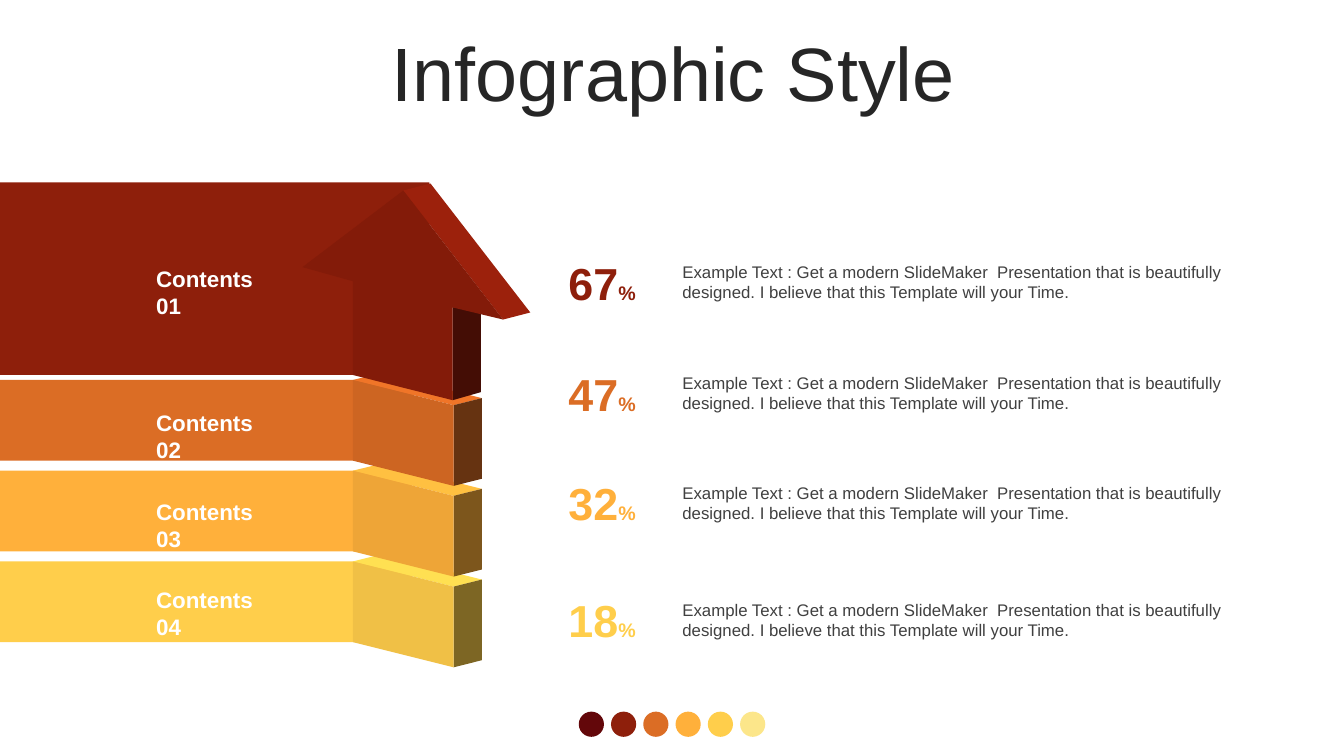
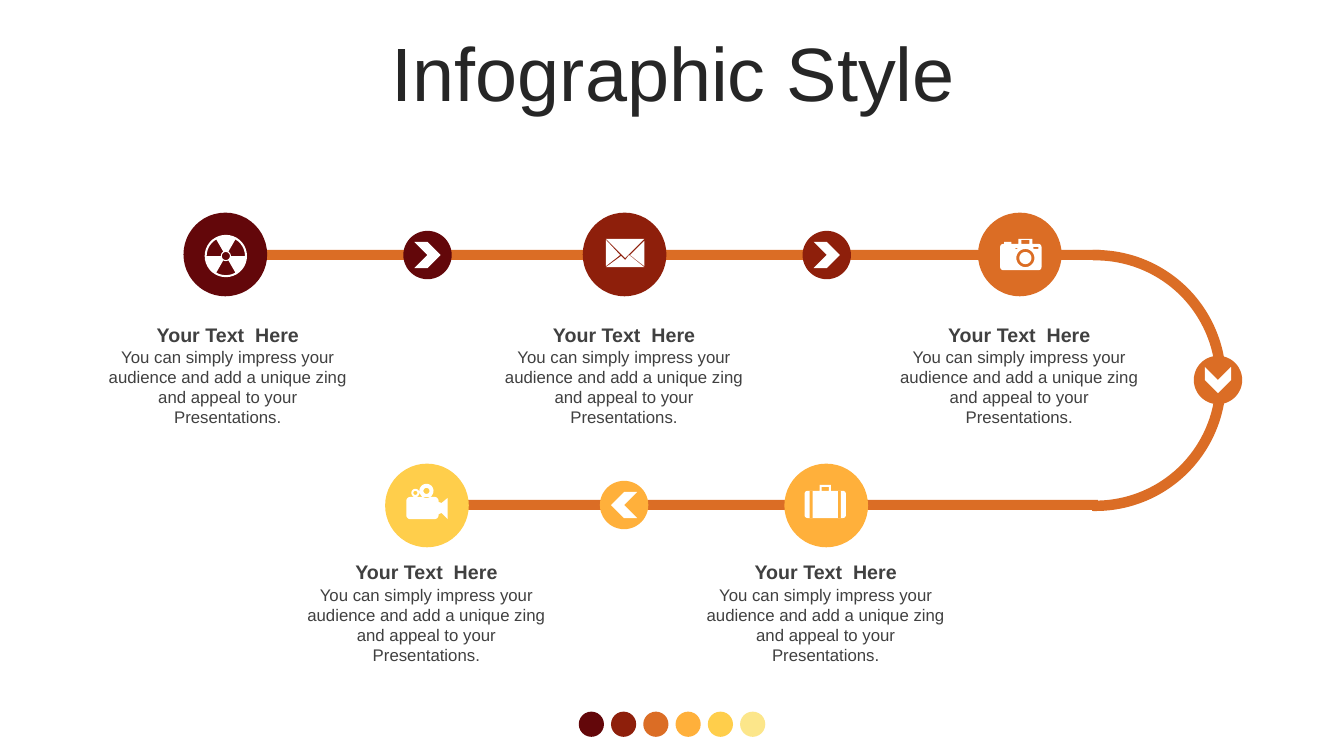
import math

import pptx
import pptx.dml.color
import pptx.enum.shapes
import pptx.enum.text
import pptx.util

Inches = pptx.util.Inches
SHAPE = pptx.enum.shapes.MSO_SHAPE
ALIGN = pptx.enum.text.PP_ALIGN
ANCHOR = pptx.enum.text.MSO_ANCHOR

MAROON, RED, ORANGE = "63070A", "8E1F0B", "DB6D25"
AMBER, YELLOW, CREAM = "FFB03B", "FFCE4B", "FCE68A"
WHITE, TITLE_COLOR, TEXT_COLOR = "FFFFFF", "262626", "404040"

EXAMPLE = ("Example Text : Get a modern SlideMaker  Presentation that is beautifully "
           "designed. I believe that this Template will your Time.")
CAPTION = ("You can simply impress your audience and add a unique zing "
           "and appeal to your Presentations.")


def color(value):
    return pptx.dml.color.RGBColor.from_string(value)


def arc(center_x, center_y, radius, start=0, end=360):
    steps = max(2, round(abs(end - start) / 10))
    angles = [math.radians(start + (end - start) * i / steps) for i in range(steps + 1)]
    return [(center_x + radius * math.cos(a), center_y + radius * math.sin(a)) for a in angles]


def rectangle(left, top, width, height):
    return [(left, top), (left + width, top),
            (left + width, top + height), (left, top + height)]


def rounded(left, top, width, height, radius):
    right, bottom = left + width - radius, top + height - radius
    left, top = left + radius, top + radius
    return (arc(left, top, radius, 180, 270) + arc(right, top, radius, 270, 360)
            + arc(right, bottom, radius, 0, 90) + arc(left, bottom, radius, 90, 180))


class Painter:
    font = "Arial"

    def __init__(self):
        self.deck = pptx.Presentation()
        self.deck.slide_width = Inches(13.33)
        self.deck.slide_height = Inches(7.5)
        self.page = None

    def start_page(self, title):
        self.page = self.deck.slides.add_slide(self.deck.slide_layouts[6])
        for i, fill in enumerate([MAROON, RED, ORANGE, AMBER, YELLOW, CREAM]):
            self.shape(SHAPE.OVAL, 5.74 + 0.32 * i, 7.06, 0.25, 0.25, fill)
        box = self.text(0.35, 0.37, 12.66, 0.79, [(title, 54)], TITLE_COLOR,
                        align=ALIGN.CENTER, anchor=ANCHOR.MIDDLE)
        box.text_frame.paragraphs[0].line_spacing = 0.9

    def paint(self, shape, fill):
        shape.shadow.inherit = False
        shape.fill.solid()
        shape.fill.fore_color.rgb = color(fill)
        shape.line.fill.background()
        return shape

    def shape(self, kind, left, top, width, height, fill, rotation=0):
        shape = self.page.shapes.add_shape(
            kind, Inches(left), Inches(top), Inches(width), Inches(height))
        shape.rotation = rotation
        return self.paint(shape, fill)

    def outline(self, contours, fill):
        contours = [[(Inches(x), Inches(y)) for x, y in contour] for contour in contours]
        builder = self.page.shapes.build_freeform(*contours[0][0])
        builder.add_line_segments(contours[0][1:], close=True)
        for contour in contours[1:]:
            builder.move_to(*contour[0])
            builder.add_line_segments(contour[1:], close=True)
        return self.paint(builder.convert_to_shape(), fill)

    def text(self, left, top, width, height, spans, fill, bold=False,
             align=ALIGN.LEFT, anchor=ANCHOR.TOP):
        box = self.page.shapes.add_textbox(
            Inches(left), Inches(top), Inches(width), Inches(height))
        box.text_frame.word_wrap = True
        box.text_frame.vertical_anchor = anchor
        para = box.text_frame.paragraphs[0]
        para.alignment = align
        for words, size in spans:
            span = para.add_run()
            span.text = words
            span.font.name = self.font
            span.font.size = pptx.util.Pt(size)
            span.font.bold = bold
            span.font.color.rgb = color(fill)
        return box

    def block(self, top, upper, front, side):
        left, right, back = 3.5, 4.5, 4.78
        drop, rise, height = 0.25, 0.07, 0.8
        corner = top + drop
        self.outline([[(left, top), (left + back - right, top - rise),
                       (back, corner - rise), (right, corner)]], upper)
        self.outline([[(right, corner), (back, corner - rise),
                       (back, corner - rise + height), (right, corner + height)]], side)
        self.outline([[(left, top), (right, corner),
                       (right, corner + height), (left, top + height)]], front)

    def badge(self, left, top, fill, rotation):
        self.shape(SHAPE.OVAL, left, top, 0.48, 0.48, fill)
        self.shape(SHAPE.CHEVRON, left + 0.11, top + 0.11, 0.26, 0.26, WHITE, rotation)

    def caption(self, left, top):
        self.text(left, top + 0.24, 2.6, 0.91, [(CAPTION, 12)], TEXT_COLOR, align=ALIGN.CENTER)
        self.text(left, top, 2.6, 0.34, [("Your Text  Here", 14)], TEXT_COLOR,
                  bold=True, align=ALIGN.CENTER)


def radiation_icon():
    x, y = 2.24, 2.54
    blades = [arc(x, y, 0.19, start, start + 60) + arc(x, y, 0.05, start + 60, start)
              for start in (60, 180, 300)]
    return [arc(x, y, 0.21), arc(x, y, 0.04)] + blades


def envelope_icon():
    left, middle, right, top, bottom = 6.01, 6.2, 6.39, 2.37, 2.65
    return [[(6.24, 2.53), (right, bottom), (left, bottom), (6.16, 2.54), (middle, 2.58)],
            [(right, 2.39), (right, 2.64), (6.25, 2.53)],
            [(left, 2.38), (6.15, 2.53), (left, 2.64)],
            [(left, top), (right, top), (middle, 2.56)]]


def camera_icon():
    return [rounded(9.92, 2.42, 0.41, 0.26, 0.03), rectangle(9.96, 2.4, 0.07, 0.02),
            rectangle(10.1, 2.37, 0.14, 0.05), rectangle(10.13, 2.38, 0.08, 0.04),
            rectangle(10.07, 2.46, 0.02, 0.01), rectangle(10.25, 2.45, 0.05, 0.02),
            arc(10.17, 2.56, 0.09), arc(10.17, 2.56, 0.06)]


def suitcase_icon():
    return [rounded(7.98, 4.87, 0.41, 0.27, 0.03),
            rectangle(8.03, 4.87, 0.03, 0.27), rectangle(8.31, 4.87, 0.03, 0.27),
            rectangle(8.13, 4.81, 0.11, 0.06), rectangle(8.15, 4.83, 0.07, 0.04)]


def film_icon():
    return [rounded(4.03, 4.93, 0.32, 0.22, 0.04),
            arc(4.23, 4.87, 0.07), arc(4.23, 4.87, 0.03),
            arc(4.12, 4.89, 0.04), arc(4.12, 4.89, 0.02),
            [(4.35, 4.98), (4.38, 4.99), (4.44, 4.94),
             (4.44, 5.15), (4.38, 5.09), (4.35, 5.1)]]


def arrow_page(painter):
    painter.start_page("Infographic Style")
    painter.shape(SHAPE.RECTANGLE, 0, 1.81, 4.26, 1.91, RED)
    blocks = [(ORANGE, "F07528", "CD6522", "663311"),
              (AMBER, "FFC041", "EEA537", "7D561C"),
              (YELLOW, "FFE052", "F0C046", "7D6624")]
    for i, (band, upper, front, side) in reversed(list(enumerate(blocks))):
        top = 3.77 + 0.9 * i
        painter.shape(SHAPE.RECTANGLE, 0, top, 4.09, 0.8, band)
        painter.block(top, upper, front, side)

    painter.outline([[(4.49, 3.05), (4.77, 2.98), (4.77, 3.89), (4.49, 3.97)]], "440D05")
    painter.outline([[(4, 1.89), (4.27, 1.82), (5.26, 3.1), (4.99, 3.17)]], "9C210C")
    painter.outline([[(3, 2.65), (4, 1.89), (4.99, 3.17), (4.49, 3.05),
                      (4.49, 3.97), (3.5, 3.72), (3.5, 2.79)]], "831B09")

    rows = [(2.58, 2.48, "67", RED), (4.01, 3.58, "47", ORANGE),
            (4.89, 4.67, "32", AMBER), (5.77, 5.83, "18", YELLOW)]
    for number, (label_top, share_top, share, fill) in enumerate(rows, 1):
        painter.text(1.45, label_top, 1.36, 0.37, [(f"Contents {number:02}", 16)],
                     WHITE, bold=True)
        painter.text(5.54, share_top, 0.87, 0.64, [(share, 32), ("%", 14)], fill,
                     bold=True, anchor=ANCHOR.MIDDLE)
        painter.text(6.67, share_top + 0.07, 5.67, 0.5, [(EXAMPLE, 12)], TEXT_COLOR,
                     anchor=ANCHOR.MIDDLE)


def route_page(painter):
    painter.start_page("Infographic Style")
    bend = painter.shape(SHAPE.BLOCK_ARC, 9.57, 2.48, 2.59, 2.59, ORANGE)
    for i, value in enumerate([161.274, 54.902, 0.04]):
        bend.adjustments[i] = value
    painter.shape(SHAPE.RECTANGLE, 2.65, 2.48, 8.27, 0.1, ORANGE)
    painter.shape(SHAPE.RECTANGLE, 4.63, 4.96, 6.26, 0.1, ORANGE)

    for left, top, fill, rotation in [(4, 2.29, MAROON, 0), (7.96, 2.29, RED, 0),
                                      (11.84, 3.53, ORANGE, 90), (5.95, 4.77, AMBER, 180)]:
        painter.badge(left, top, fill, rotation)

    upper, lower = (2.11, 3.15), (4.6, 5.51)
    stops = [(1.82, 0.96, upper, MAROON, radiation_icon),
             (5.78, 4.89, upper, RED, envelope_icon),
             (9.7, 8.81, upper, ORANGE, camera_icon),
             (7.78, 6.89, lower, AMBER, suitcase_icon),
             (3.82, 2.93, lower, YELLOW, film_icon)]
    for left, caption_left, (top, caption_top), fill, icon in stops:
        painter.shape(SHAPE.OVAL, left, top, 0.83, 0.83, fill)
        painter.outline(icon(), WHITE)
        painter.caption(caption_left, caption_top)


def main():
    painter = Painter()
    arrow_page(painter)
    route_page(painter)
    painter.deck.save("out.pptx")


if __name__ == "__main__":
    main()
